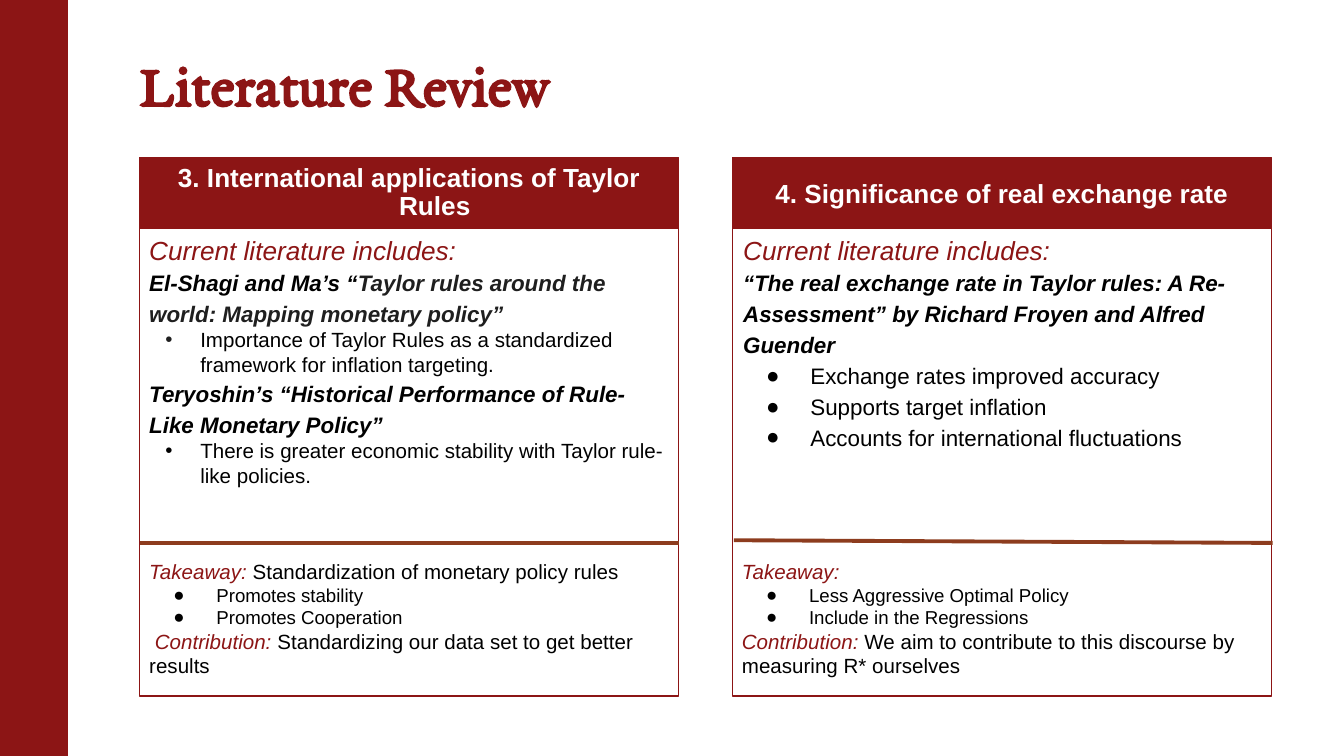
from lxml import etree
from pptx import Presentation
from pptx.dml.color import RGBColor
from pptx.enum.shapes import MSO_CONNECTOR, MSO_SHAPE
from pptx.enum.text import MSO_ANCHOR, MSO_AUTO_SIZE, PP_ALIGN
from pptx.oxml.ns import qn
from pptx.util import Inches, Pt

RECTANGLE = MSO_SHAPE.RECTANGLE
STRAIGHT = MSO_CONNECTOR.STRAIGHT
TOP, MIDDLE, BOTTOM = MSO_ANCHOR.TOP, MSO_ANCHOR.MIDDLE, MSO_ANCHOR.BOTTOM
LEFT, CENTER = PP_ALIGN.LEFT, PP_ALIGN.CENTER
NO_AUTOFIT, GROW = MSO_AUTO_SIZE.NONE, MSO_AUTO_SIZE.SHAPE_TO_FIT_TEXT

COLORS = {"cardinal": "8C1515", "rust": "8D3C1E", "white": "FFFFFF",
          "black": "000000", "charcoal": "1F1F1F"}

LOOKS = {
    "title": {"name": "EB Garamond", "size": Pt(32), "bold": True, "color": "cardinal"},
    "header": {"size": Pt(14), "bold": True, "color": "white"},
    "lead": {"size": Pt(14), "italic": True, "color": "cardinal"},
    "study": {"size": Pt(12), "bold": True, "italic": True},
    "study title": {"size": Pt(12), "bold": True, "italic": True, "color": "charcoal"},
    "finding": {"size": Pt(12)},
    "label": {"size": Pt(11), "italic": True, "color": "cardinal"},
    "plain": {"size": Pt(11)},
    "point": {"size": Pt(10)},
}

LAYOUTS = {
    "title": {"spacing": 0.85},
    "tight header": {"align": CENTER, "indent": (0.38, -0.38), "spacing": 0.9},
    "header": {"align": CENTER, "indent": (0.38, -0.38)},
    "plain": {},
    "study": {"spacing": 1.15},
    "dot": {"indent": (0.38, -0.26), "bullet": "•"},
    "dark dot": {"indent": (0.38, -0.26), "bullet": "•", "bullet color": "charcoal"},
    "finding": {"indent": (0.5, -0.33), "spacing": 1.15, "bullet": "●"},
    "point": {"indent": (0.5, -0.32), "bullet": "●"},
}

COLUMNS = [
    {
        "left": 1.04,
        "literature box": (1.04, 1.7, 4.01, 2.25),
        "rule": (1.04, 4.04, 5.05, 4.04),
        "header": ("tight header", [("3. International applications of Taylor Rules", "header")]),
        "literature": [
            ("plain", [("Current literature includes:", "lead")]),
            ("study", [("El-Shagi and Ma’s “", "study"),
                       ("Taylor rules around the world: Mapping monetary policy”", "study title")]),
            ("dark dot", [("Importance of Taylor Rules as a standardized framework "
                           "for inflation targeting.", "plain")]),
            ("study", [("Teryoshin’s “Historical Performance of Rule-Like Monetary Policy”", "study")]),
            ("dot", [("There is greater economic stability with Taylor rule-like policies.", "plain")]),
        ],
        "takeaway": [
            ("plain", [("Takeaway:", "label"),
                       (" Standardization of monetary policy rules", "plain")]),
            ("point", [("Promotes stability", "point")]),
            ("point", [("Promotes Cooperation", "point")]),
            ("plain", [(" Contribution:", "label"),
                       (" Standardizing our data set to get better results", "plain")]),
        ],
    },
    {
        "left": 5.45,
        "literature box": (5.46, 1.7, 4, 2.41),
        "rule": (5.46, 4.02, 9.47, 4.04),
        "header": ("header", [("4. Significance of real exchange rate", "header")]),
        "literature": [
            ("plain", [("Current literature includes:", "lead")]),
            ("study", [("“The real exchange rate in Taylor rules: A Re-Assessment” "
                        "by Richard Froyen and Alfred Guender", "study")]),
            ("finding", [("Exchange rates improved accuracy", "finding")]),
            ("finding", [("Supports target inflation", "finding")]),
            ("finding", [("Accounts for international fluctuations", "finding")]),
        ],
        "takeaway": [
            ("plain", [("Takeaway:", "label")]),
            ("point", [("Less Aggressive Optimal Policy", "point")]),
            ("point", [("Include in the Regressions", "point")]),
            ("plain", [("Contribution:", "label"),
                       (" We aim to contribute to this discourse by measuring R* ourselves", "plain")]),
        ],
    },
]
COLUMN_WIDTH = 4.01


def write(shape, paragraphs, anchor=TOP, left=0.07, right=0.07, fit=NO_AUTOFIT):
    frame = shape.text_frame
    settings = {"word_wrap": True, "auto_size": fit, "vertical_anchor": anchor,
                "margin_left": Inches(left), "margin_right": Inches(right),
                "margin_top": Inches(0.04), "margin_bottom": Inches(0.04)}
    for name, value in settings.items():
        setattr(frame, name, value)
    for index, (layout_name, spans) in enumerate(paragraphs):
        layout = LAYOUTS[layout_name]
        para = frame.add_paragraph() if index else frame.paragraphs[0]
        properties = para._p.get_or_add_pPr()
        margin, indent = layout.get("indent", (0, 0))
        properties.set("marL", str(Inches(margin)))
        properties.set("indent", str(Inches(indent)))
        if "bullet" in layout:
            color = etree.SubElement(properties, qn("a:buClr"))
            etree.SubElement(color, qn("a:srgbClr"), val=COLORS[layout.get("bullet color", "black")])
            etree.SubElement(properties, qn("a:buFont"), typeface="Arial")
            etree.SubElement(properties, qn("a:buChar"), char=layout["bullet"])
        else:
            etree.SubElement(properties, qn("a:buNone"))
        para.alignment = layout.get("align", LEFT)
        para.line_spacing = layout.get("spacing", 1.0)
        para.space_before = para.space_after = Pt(0)
        for text, look in spans:
            span = para.add_run()
            span.text = text
            font = {"name": "Arial", "bold": False, "italic": False, "color": "black", **LOOKS[look]}
            span.font.color.rgb = RGBColor.from_string(COLORS[font.pop("color")])
            for name, value in font.items():
                setattr(span.font, name, value)


def place(shape, left, top, width, height, fill=None):
    shape.left, shape.top = Inches(left), Inches(top)
    shape.width, shape.height = Inches(width), Inches(height)
    shape.shadow.inherit = False
    shape.line.color.rgb = RGBColor.from_string(COLORS["cardinal"])
    shape.line.width = Pt(0.75)
    if fill:
        shape.fill.solid()
        shape.fill.fore_color.rgb = RGBColor.from_string(COLORS[fill])
    else:
        shape.fill.background()


deck = Presentation()
deck.slide_width = Inches(10)
deck.slide_height = deck.slide_width * 9 // 16
page = deck.slides.add_slide(deck.slide_layouts[1])
shapes = page.shapes

sidebar = shapes.add_shape(RECTANGLE, 0, 0, 0, 0)
place(sidebar, 0, 0, 0.5, 5.63, "cardinal")

title = shapes.title
title.left, title.top = Inches(1.04), Inches(0.39)
title.width, title.height = Inches(8.43), Inches(0.53)
write(title, [("title", [("Literature Review", "title")])], BOTTOM, left=0)

for number, column in enumerate(COLUMNS):
    left = column["left"]
    header = shapes.add_shape(RECTANGLE, 0, 0, 0, 0) if number else page.placeholders[1]
    place(header, left, 1.17, COLUMN_WIDTH, 0.53, "cardinal")
    write(header, [column["header"]], MIDDLE, left=0, right=0)

    frame = shapes.add_shape(RECTANGLE, 0, 0, 0, 0)
    place(frame, left, 1.68, COLUMN_WIDTH, 3.5)

    takeaway_box = (left, 4.12, COLUMN_WIDTH, 0.97)
    for part, bounds in (("literature", column["literature box"]), ("takeaway", takeaway_box)):
        box = shapes.add_textbox(*map(Inches, bounds))
        write(box, column[part], fit=GROW)

    rule = shapes.add_connector(STRAIGHT, *map(Inches, column["rule"]))
    rule.line.color.rgb = RGBColor.from_string(COLORS["rust"])
    rule.line.width = Pt(2.08)
    etree.SubElement(rule._element.spPr, qn("a:effectLst"))

deck.save("out.pptx")
